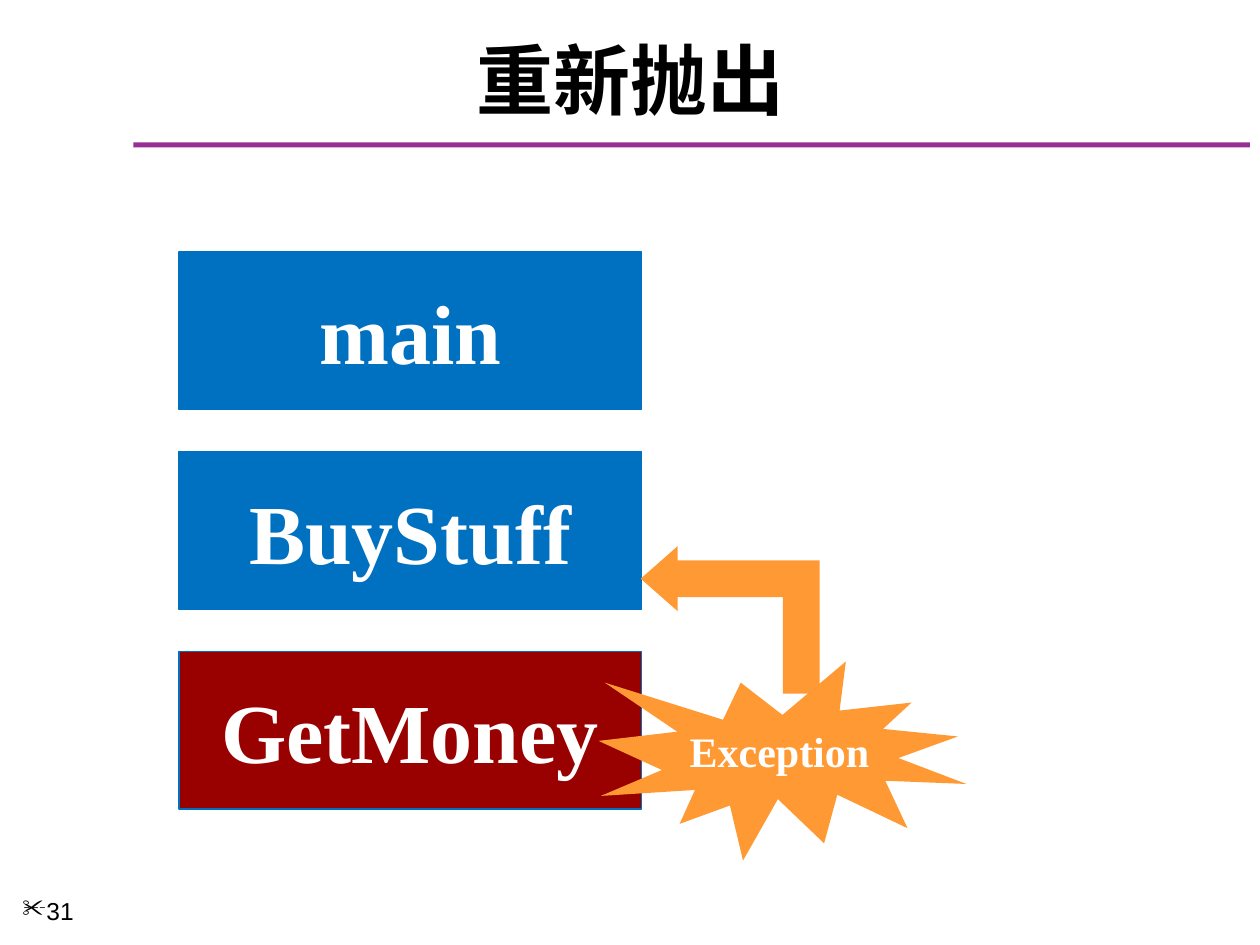
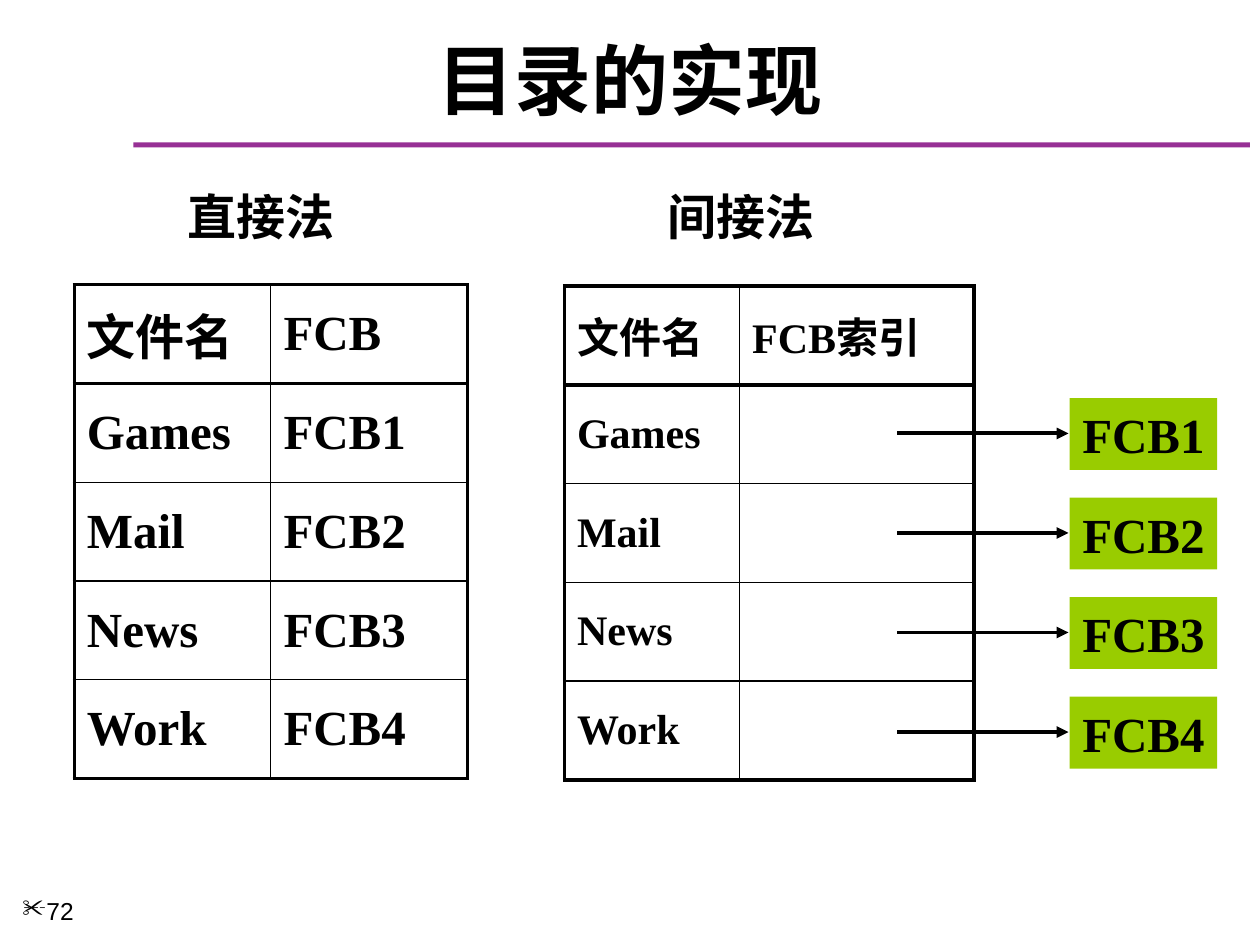
from pptx import Presentation
from pptx.dml.color import RGBColor
from pptx.enum.shapes import MSO_CONNECTOR as Link, MSO_SHAPE as Geo
from pptx.enum.text import MSO_ANCHOR as Anchor, PP_ALIGN as Align
from pptx.oxml import parse_xml
from pptx.oxml.ns import nsdecls
from pptx.util import Inches, Pt

BLACK = RGBColor(0x00, 0x00, 0x00)
WHITE = RGBColor(0xFF, 0xFF, 0xFF)
PURPLE = RGBColor(0x97, 0x30, 0x95)
BLUE = RGBColor(0x00, 0x70, 0xC0)
RED = RGBColor(0x99, 0x00, 0x00)
ORANGE = RGBColor(0xFF, 0x99, 0x33)
GREEN = RGBColor(0x99, 0xCC, 0x00)
SERIF, SANS, HAN = "Times New Roman", "Arial", "Noto Sans CJK SC"
NS = nsdecls("a")


def write(frame, text, size, color=BLACK, align=Align.LEFT, gap=0.2, font=SERIF, bold=True):
    """Fill a text frame or cell frame with one styled paragraph."""
    para = frame.paragraphs[0]
    para.alignment = align
    para.space_before = Pt(size * gap)
    run = para.add_run()
    run.text = text
    style = {"name": font, "size": Pt(size), "bold": bold}
    for key, value in style.items():
        setattr(run.font, key, value)
    run.font.color.rgb = color
    run.font._element.append(parse_xml(f'<a:ea {NS} typeface="{HAN}"/>'))
    return para


def block(slide, geo, box, fill, edge=None):
    """Add a flat preset shape with an optional outline."""
    shape = slide.shapes.add_shape(geo, *map(Inches, box))
    shape.shadow.inherit = False
    shape.fill.solid()
    shape.fill.fore_color.rgb = fill
    if edge is None:
        shape.line.fill.background()
    else:
        shape.line.color.rgb = edge
        shape.line.width = Pt(0.75)
    return shape


deck = Presentation()
deck.slide_width, deck.slide_height = Inches(10), Inches(7.5)

# Shared band, title and page number
pages = []
for title, face, page in [("重新抛出", SERIF, "31"), ("目录的实现", HAN, "72")]:
    slide = deck.slides.add_slide(deck.slide_layouts[6])
    block(slide, Geo.RECTANGLE, (1.06, 1.13, 8.86, 0.04), PURPLE)
    head = slide.shapes.add_textbox(*map(Inches, (0.17, 0.25, 9.67, 0.75))).text_frame
    head.word_wrap = True
    head.vertical_anchor = Anchor.MIDDLE
    write(head, title, 44, align=Align.CENTER, gap=0, font=face)
    foot = slide.shapes.add_textbox(*map(Inches, (0.08, 7.06, 1.08, 0.44))).text_frame
    foot.word_wrap = True
    props = write(foot, page, 14, gap=0, font=SANS, bold=False)._p.get_or_add_pPr()
    props.set("marL", str(Inches(0.19)))
    props.set("indent", str(-Inches(0.19)))
    props.append(parse_xml(f'<a:buChar {NS} char="✂"/>'))
    pages.append(slide)
stack, files = pages

# Call stack
calls = [("main", BLUE), ("BuyStuff", BLUE), ("GetMoney", RED)]
for row, (name, fill) in enumerate(calls):
    box = (1.42, 2 + 1.585 * row, 3.67, 1.25)
    frame = block(stack, Geo.RECTANGLE, box, fill, BLUE).text_frame
    frame.vertical_anchor = Anchor.MIDDLE
    write(frame, name, 48, WHITE, Align.CENTER)

# Exception burst and the arrow back to its caller
burst = block(stack, Geo.EXPLOSION1, (4.75, 5.25, 2.92, 1.58), ORANGE).text_frame
burst.vertical_anchor = Anchor.TOP
write(burst, "Exception", 24, WHITE)
bend = block(stack, Geo.BENT_UP_ARROW, (5.21, 4.21, 1.17, 1.42), ORANGE)
bend.rotation = 270
for spot, value in enumerate((0.25, 0.22, 0.25)):
    bend.adjustments[spot] = value

# Directory tables: heavy frame and header rule, thin inner lines
names = ["Games", "Mail", "News", "Work"]
blocks = ["FCB1", "FCB2", "FCB3", "FCB4"]
tables = [
    ((0.59, 2.26), (1.56, 1.56), 28, 0.75, [("文件名", "FCB"), *zip(names, blocks)]),
    ((4.48, 2.27), (1.39, 1.86), 24, 1, [("文件名", "FCB索引"), *((name, "") for name in names)]),
]
for (left, top), widths, size, thin, rows in tables:
    grid = files.shapes.add_table(
        len(rows), 2, *map(Inches, (left, top, sum(widths), 0.784 * len(rows)))).table
    grid.first_row = grid.horz_banding = False
    for col, width in zip(grid.columns, widths):
        col.width = Inches(width)
    for r, row in enumerate(rows):
        for c, text in enumerate(row):
            cell = grid.cell(r, c)
            cell.vertical_anchor = Anchor.MIDDLE
            if text:
                write(cell.text_frame, text, size)
            heavy = {"lnL": c == 0, "lnR": c == 1, "lnT": r < 2, "lnB": r in (0, len(rows) - 1)}
            props = cell._tc.get_or_add_tcPr()
            for tag, bold in heavy.items():
                wide = Pt(2.25 if bold else thin)
                props.append(parse_xml(
                    f'<a:{tag} {NS} w="{wide}"><a:solidFill>'
                    f'<a:srgbClr val="{BLACK}"/></a:solidFill></a:{tag}>'))
            cell.fill.background()

# Control blocks
for row, name in enumerate(blocks):
    frame = block(files, Geo.RECTANGLE, (8.49, 3.16 + 0.79 * row, 1.17, 0.57), GREEN).text_frame
    frame.word_wrap = False
    frame.vertical_anchor = Anchor.MIDDLE
    write(frame, name, 28, align=Align.CENTER)

# Pointers from the index to the control blocks
for row in range(len(blocks)):
    y = 3.44 + 0.79 * row
    line = files.shapes.add_connector(Link.STRAIGHT, *map(Inches, (7.12, y, 8.48, y)))
    line.line.color.rgb = BLACK
    line.line.width = Pt(2.25)
    line.line._get_or_add_ln().append(parse_xml(f'<a:tailEnd {NS} type="triangle"/>'))
    line._element.spPr.append(parse_xml(f"<a:effectLst {NS}/>"))

# Method labels
for left, text in [(1.39, "直接法"), (5.2, "间接法")]:
    label = files.shapes.add_textbox(*map(Inches, (left, 1.43, 1.37, 0.57))).text_frame
    label.word_wrap = True
    write(label, text, 28)

deck.save("out.pptx")
